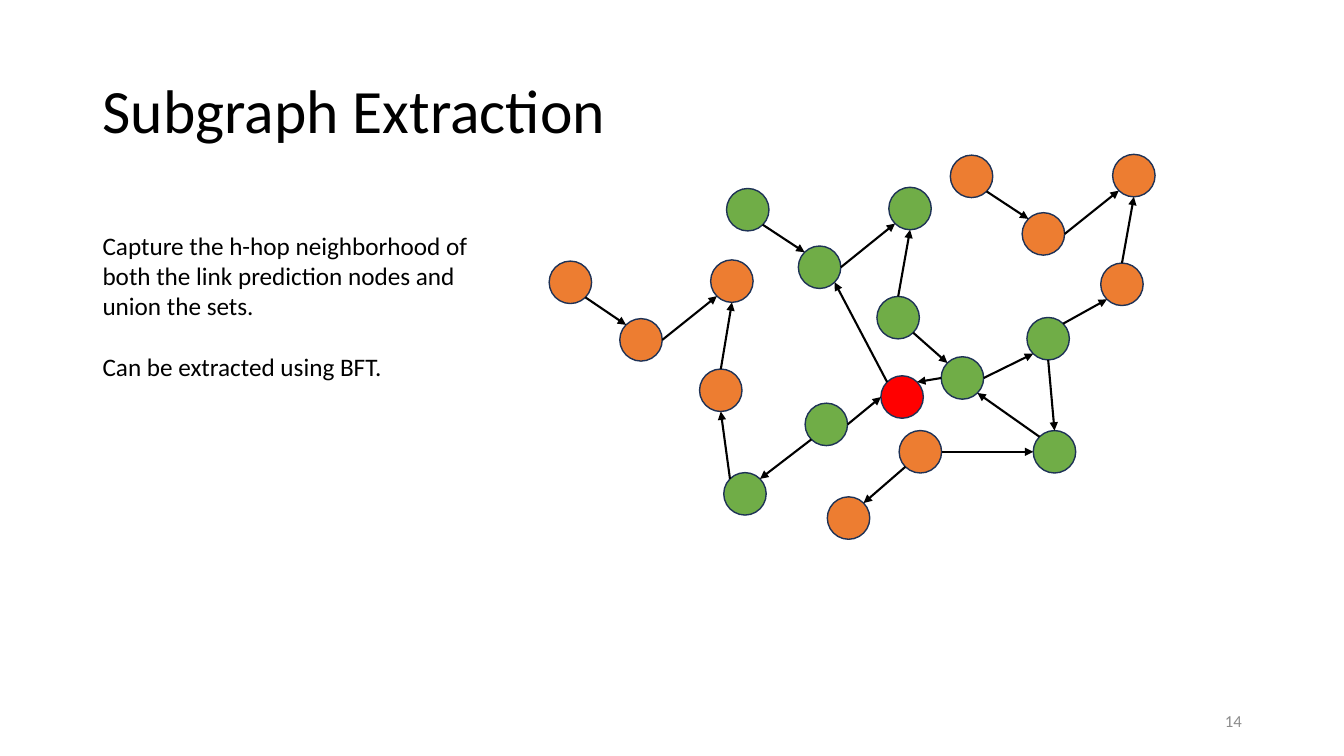
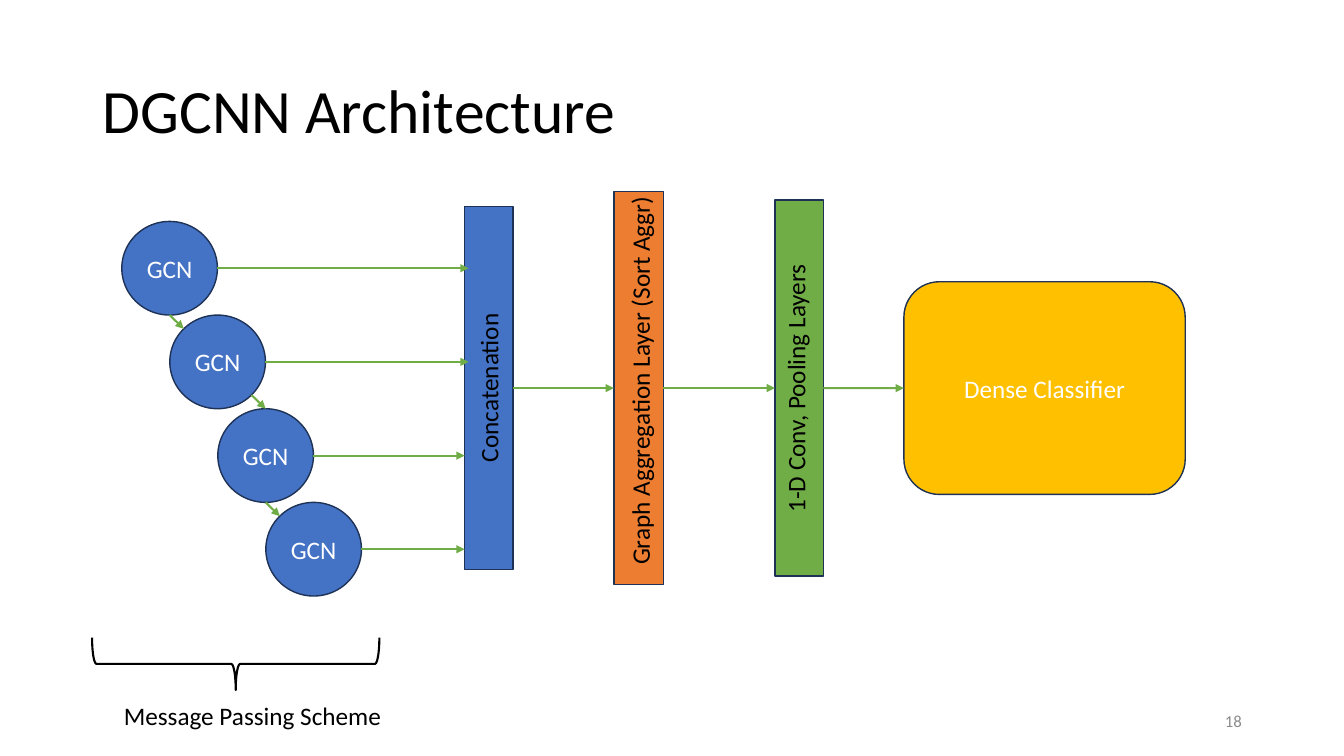
from lxml.etree import SubElement
from pptx import Presentation
from pptx.dml.color import RGBColor
from pptx.enum.shapes import MSO_CONNECTOR as Link, MSO_SHAPE as Preset
from pptx.enum.text import MSO_ANCHOR as Anchor, MSO_AUTO_SIZE as Fit, PP_ALIGN as Align
from pptx.oxml.ns import qn
from pptx.util import Cm, Pt

BLACK = RGBColor(0x00, 0x00, 0x00)
WHITE = RGBColor(0xFF, 0xFF, 0xFF)
GRAY = RGBColor(0x8C, 0x8C, 0x8C)
NAVY = RGBColor(0x1E, 0x32, 0x56)
BLUE = RGBColor(0x44, 0x72, 0xC4)
GREEN = RGBColor(0x70, 0xAD, 0x47)
ORANGE = RGBColor(0xED, 0x7D, 0x31)
GOLD = RGBColor(0xFF, 0xC0, 0x00)
RED = RGBColor(0xFF, 0x00, 0x00)

TITLE_AND_BODY, TITLE_ONLY = 1, 5
LEFT, RIGHT = 1, 3
DIAGONAL = 0.5 ** 0.5
COMPASS = {
    "n": (0, -1), "s": (0, 1), "w": (-1, 0), "e": (1, 0),
    "nw": (-DIAGONAL, -DIAGONAL), "ne": (DIAGONAL, -DIAGONAL),
    "sw": (-DIAGONAL, DIAGONAL), "se": (DIAGONAL, DIAGONAL),
}


def rim(circle, side):
    across, down = COMPASS[side]
    return (int(circle.left + circle.width / 2 * (1 + across)),
            int(circle.top + circle.height / 2 * (1 + down)))


class Slides:
    title_area = (2.33, 1.02, 29.21, 3.68)
    number_area = (23.93, 17.65, 7.62, 1.02)

    def __init__(self):
        self.deck = Presentation()
        self.deck.slide_width, self.deck.slide_height = Cm(33.87), Cm(19.05)
        self.page = None

    def start(self, layout, title, number):
        self.page = self.deck.slides.add_slide(self.deck.slide_layouts[layout])
        heading = self.page.shapes.title
        self.place(heading, self.title_area)
        self.fill_text(heading, [title], size=44, anchor=Anchor.MIDDLE, line_spacing=0.9)
        self.text(number, self.number_area, size=12, color=GRAY,
                  align=Align.RIGHT, anchor=Anchor.MIDDLE)

    def place(self, box, area):
        for side, value in zip(("left", "top", "width", "height"), area):
            setattr(box, side, Cm(value))

    def fill_text(self, box, lines, size=18, color=BLACK, align=Align.LEFT,
                  anchor=Anchor.TOP, wrap=True, line_spacing=1.0):
        frame = box.text_frame
        frame_format = {"word_wrap": wrap, "auto_size": Fit.NONE, "vertical_anchor": anchor}
        para_format = {"alignment": align, "line_spacing": line_spacing, "space_before": Pt(0)}
        font_format = {"name": "Calibri", "size": Pt(size)}
        for name, value in frame_format.items():
            setattr(frame, name, value)
        for index, line in enumerate(lines):
            para = frame.add_paragraph() if index else frame.paragraphs[0]
            for name, value in para_format.items():
                setattr(para, name, value)
            span = para.add_run()
            span.text = line
            for name, value in font_format.items():
                setattr(span.font, name, value)
            span.font.color.rgb = color

    def text(self, words, area, rotation=0, **style):
        box = self.page.shapes.add_textbox(*map(Cm, area))
        box.rotation = rotation
        self.fill_text(box, [words], **style)

    def body(self, lines, area, gap_before):
        box = self.page.placeholders[1]
        self.place(box, area)
        self.fill_text(box, lines)
        for index, para in enumerate(box.text_frame.paragraphs):
            if index in gap_before:
                para.space_before = Pt(22)
            settings = para._p.get_or_add_pPr()
            for name in ("marL", "indent"):
                settings.set(name, "0")
            SubElement(settings, qn("a:buNone"))

    def shape(self, preset, area, fill, words=None, line=NAVY, weight=1, rotation=0):
        box = self.page.shapes.add_shape(preset, *map(Cm, area))
        box.shadow.inherit = False
        box.rotation = rotation
        if fill is None:
            box.fill.background()
        else:
            box.fill.solid()
            box.fill.fore_color.rgb = fill
        box.line.color.rgb = line
        box.line.width = Pt(weight)
        if words:
            self.fill_text(box, [words], color=WHITE, align=Align.CENTER, anchor=Anchor.MIDDLE)
        return box

    def arrow(self, start, end, color):
        arrow = self.page.shapes.add_connector(Link.STRAIGHT, *start, *end)
        arrow.line.color.rgb = color
        arrow.line.width = Pt(1.5)
        SubElement(arrow.line._get_or_add_ln(), qn("a:tailEnd")).set("type", "triangle")
        SubElement(arrow._element.spPr, qn("a:effectLst"))
        return arrow

    def join(self, source, target, color):
        arrow = self.arrow((0, 0), (0, 0), color)
        arrow.begin_connect(source, RIGHT)
        arrow.end_connect(target, LEFT)


def subgraph_page(slides):
    slides.start(TITLE_AND_BODY, "Subgraph Extraction", "14")
    slides.body(["Capture the h-hop neighborhood of",
                 "both the link prediction nodes and union the sets.",
                 "Can be extracted using BFT."],
                (2.33, 5.67, 10.41, 4.11), gap_before={2})
    diameter = 1.07
    places = {
        GREEN: {"A": (22.1, 7.47), "B": (23.72, 8.99), "D": (26.04, 10.85),
                "F": (25.88, 8), "G": (18.31, 4.75), "H": (20.12, 6.2),
                "I": (20.29, 10.16), "K": (18.24, 11.91), "L": (22.4, 4.72)},
        ORANGE: {"C": (22.66, 10.85), "E": (20.85, 12.52), "M": (17.63, 9.3),
                 "N": (13.84, 6.58), "O": (15.62, 8.03), "P": (17.91, 6.55),
                 "Q": (27.74, 6.63), "R": (23.95, 3.91), "S": (25.76, 5.36),
                 "T": (28.04, 3.89)},
        RED: {"J": (22.2, 9.47)},
    }
    nodes = {name: slides.shape(Preset.OVAL, (*corner, diameter, diameter), color)
             for color, group in places.items() for name, corner in group.items()}
    edges = [
        ("A", "se", "B", "nw"), ("C", "e", "D", "w"), ("F", "s", "D", "n"),
        ("B", "e", "F", "sw"), ("C", "sw", "E", "ne"), ("D", "nw", "B", "se"),
        ("G", "se", "H", "nw"), ("I", "e", "J", "w"), ("H", "e", "L", "sw"),
        ("I", "sw", "K", "ne"), ("J", "nw", "H", "se"), ("A", "n", "L", "s"),
        ("B", "w", "J", "ne"), ("N", "se", "O", "nw"), ("O", "e", "P", "sw"),
        ("M", "n", "P", "s"), ("R", "se", "S", "nw"), ("S", "e", "T", "sw"),
        ("Q", "n", "T", "s"), ("K", "nw", "M", "s"), ("F", "ne", "Q", "sw"),
    ]
    for source, leaving, target, entering in edges:
        slides.arrow(rim(nodes[source], leaving), rim(nodes[target], entering), BLACK)


def architecture_page(slides):
    slides.start(TITLE_ONLY, "DGCNN Architecture", "18")
    width, height, step = 2.41, 2.36, 1.21
    layers = [slides.shape(Preset.OVAL, (3.07 + step * row, 5.58 + height * row, width, height),
                           BLUE, "GCN") for row in range(4)]
    middle, label_height = 9.78, 1.02
    bars = [
        (BLUE, 11.71, 1.22, 9.14, "Concatenation", 12.31, 9.75, 4.29),
        (ORANGE, 15.47, 1.25, 9.91, "Graph Aggregation Layer (Sort Aggr)", 16.13, 9.53, 9.91),
        (GREEN, 19.53, 1.22, 9.47, "1-D Conv, Pooling Layers", 20.05, 9.75, 6.83),
    ]
    stages = []
    for color, left, thickness, length, label, label_x, label_y, label_width in bars:
        stages.append(slides.shape(Preset.RECTANGLE,
                                   (left, middle - length / 2, thickness, length), color))
        slides.text(label, (label_x - label_width / 2, label_y - label_height / 2,
                            label_width, label_height), rotation=270, wrap=False)
    stages.append(slides.shape(Preset.ROUNDED_RECTANGLE, (22.78, middle - 2.68, 7.09, 5.36),
                               GOLD, "Dense Classifier"))
    for source, target in zip(stages, stages[1:]):
        slides.join(source, target, GREEN)

    sides = [("s", "nw"), ("se", "n"), ("s", "nw")]
    for source, target, (leaving, entering) in zip(layers, layers[1:], sides):
        slides.arrow(rim(source, leaving), rim(target, entering), GREEN)
    for layer, end in zip(layers, (11.81, 11.81, 11.71, 11.71)):
        start = rim(layer, "e")
        slides.arrow(start, (Cm(end), start[1]), GREEN)

    slides.shape(Preset.RIGHT_BRACE, (5.28, 13.11, 1.32, 7.24), None,
                 line=BLACK, weight=1.5, rotation=90)
    slides.text("Message Passing Scheme", (2.87, 17.53, 7.06, 1.02), wrap=False)


def main():
    slides = Slides()
    subgraph_page(slides)
    architecture_page(slides)
    slides.deck.save("out.pptx")


if __name__ == "__main__":
    main()
